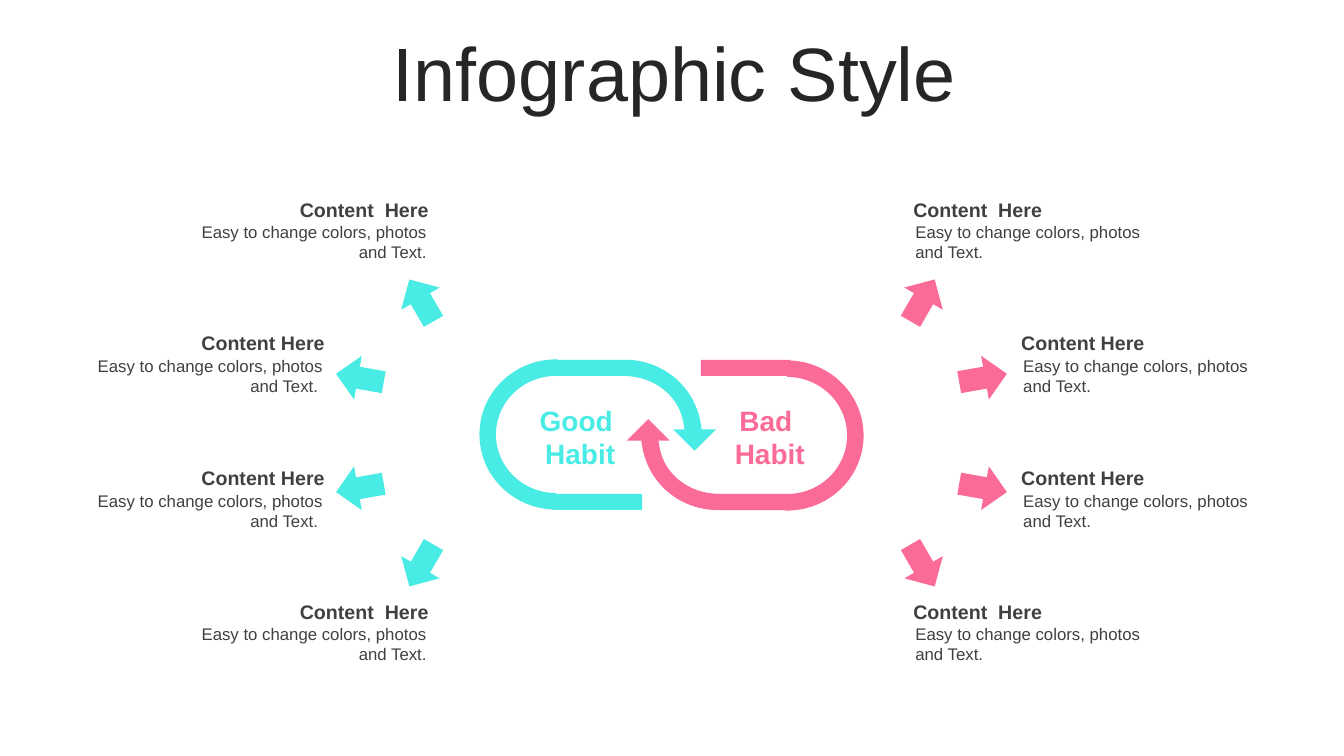
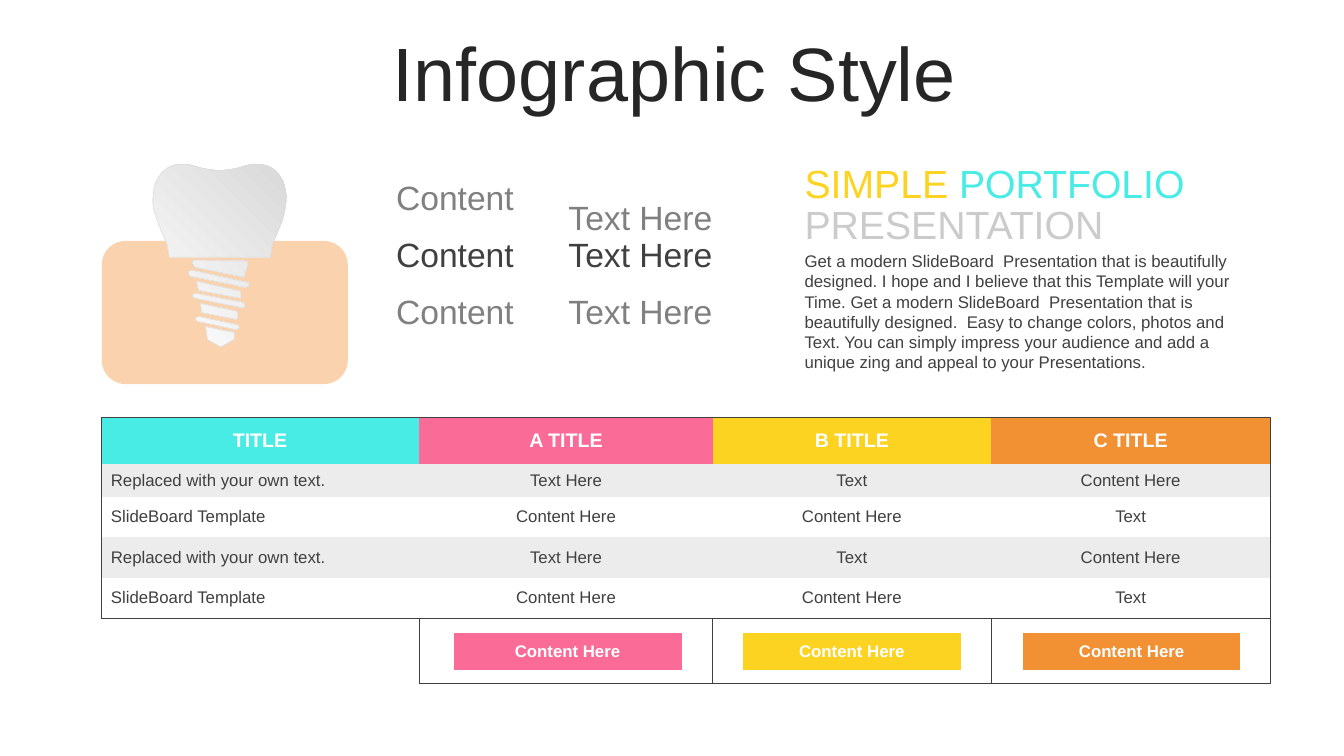
"""Build two infographic slides: a habit loop and an implant comparison table."""
from lxml import etree
from pptx import Presentation
from pptx.dml.color import RGBColor
from pptx.enum import shapes, text
from pptx.oxml import ns
from pptx.util import Inches, Pt

C = {
    "cyan": "49ECE5", "pink": "FB6B97", "yellow": "FDD321", "orange": "F29034",
    "title": "262626", "dark": "404040", "gray": "808080", "silver": "CBCBCB",
    "band": "ECECEC", "edge": "D9D9D9", "gum": "FAD3AE", "white": "FFFFFF",
}
RGB = {name: RGBColor.from_string(value) for name, value in C.items()}
FONT = "Arial"
LEFT, CENTER, RIGHT = text.PP_ALIGN.LEFT, text.PP_ALIGN.CENTER, text.PP_ALIGN.RIGHT
MIDDLE = text.MSO_ANCHOR.MIDDLE
SHAPE = shapes.MSO_SHAPE
MID = {"word_wrap": True, "vertical_anchor": MIDDLE}
TOP = {"word_wrap": True, "vertical_anchor": text.MSO_ANCHOR.TOP}
FLUSH = {"margin_left": 0}


def write(tf, paragraphs, size, align=LEFT, bold=False, frame=None):
    for key, value in (frame or {}).items():
        setattr(tf, key, value)
    for i, runs in enumerate(paragraphs):
        p = tf.add_paragraph() if i else tf.paragraphs[0]
        p.alignment = align
        for words, color in runs:
            r = p.add_run()
            r.text = words
            for key, value in {"name": FONT, "size": Pt(size), "bold": bold}.items():
                setattr(r.font, key, value)
            r.font.color.rgb = RGB[color]


def outline(s, contours, color):
    builder = None
    for contour in contours:
        points = [(Inches(step[i]), Inches(step[i + 1]))
                  for step in contour for i in range(0, len(step), 2)]
        if builder is None:
            builder = s.shapes.build_freeform(*points[0])
        else:
            builder.move_to(*points[0])
        builder.add_line_segments(points[1:], close=True)
    sp = builder.convert_to_shape()
    lines = iter(list(sp._element.iter(ns.qn("a:lnTo"))))
    for step in (step for contour in contours for step in contour[1:]):
        line = next(lines)
        if len(step) == 6:
            curve = etree.Element(ns.qn("a:cubicBezTo"))
            line.addprevious(curve)
            for knot in (line, next(lines), next(lines)):
                curve.append(knot[0])
                knot.getparent().remove(knot)
    sp.shadow.inherit = False
    sp.fill.solid()
    sp.fill.fore_color.rgb = RGB[color]
    sp.line.fill.background()
    return sp


prs = Presentation()
prs.slide_width, prs.slide_height = Inches(13.33), Inches(7.5)
habits, implant = [prs.slides.add_slide(prs.slide_layouts[6]) for _ in range(2)]
for s in (habits, implant):
    tf = s.shapes.add_textbox(*map(Inches, (0.36, 0.37, 12.66, 0.79))).text_frame
    write(tf, [[("Infographic Style", "title")]], 54, CENTER, frame=MID)
    tf.paragraphs[0].line_spacing = 0.9

s = habits
for word, x, color in (("Good ", 5.26, "cyan"), ("Bad ", 7.14, "pink")):
    tf = s.shapes.add_textbox(*map(Inches, (x, 4, 0.95, 0.67))).text_frame
    frame = TOP | {"margin_left": Inches(0.08), "margin_right": Inches(0.04),
                   "margin_top": 0, "margin_bottom": 0}
    write(tf, [[(word, color)], [("Habit", color)]], 20, CENTER, True, frame)

LOOP_X, LOOP_Y = 13.32, 8.63
LINK = [
    (SHAPE.BLOCK_ARC, 4.77, 3.55, 1.49, 1.52, 270),
    (SHAPE.RECTANGLE, 5.49, 3.57, 0.71, 0.16, 0),
    (SHAPE.RECTANGLE, 5.48, 4.9, 0.89, 0.16, 0),
    (SHAPE.RIGHT_TRIANGLE, 6.74, 4.11, 0.3, 0.3, 315),
]
HOOK = [(6.18, 3.57), (6.45, 3.56, 6.71, 3.7, 6.85, 3.93), (6.91, 4.03, 6.95, 4.15, 6.96, 4.27),
        (6.79, 4.27), (6.78, 4.18, 6.76, 4.09, 6.71, 4.01), (6.6, 3.83, 6.4, 3.73, 6.18, 3.73)]
turned_hook = [tuple((LOOP_Y if i % 2 else LOOP_X) - v for i, v in enumerate(step)) for step in HOOK]
parts = [(*part, "cyan") for part in LINK]
parts += [(kind, LOOP_X - x - w, LOOP_Y - y - h, w, h, rot + 180, "pink")
          for kind, x, y, w, h, rot in LINK]
for y, inner, angle in ((2.74, False, 30), (3.51, True, 80), (4.6, True, 100), (5.37, False, 150)):
    parts.append((SHAPE.UP_ARROW, 3.35 if inner else 3.96, y, 0.44, 0.48, 360 - angle, "cyan"))
    parts.append((SHAPE.UP_ARROW, 9.53 if inner else 8.93, y, 0.44, 0.48, angle, "pink"))
for kind, x, y, w, h, rot, color in parts:
    sp = s.shapes.add_shape(kind, *map(Inches, (x, y, w, h)))
    sp.rotation = rot % 360
    sp.shadow.inherit = False
    sp.fill.solid()
    sp.fill.fore_color.rgb = RGB[color]
    sp.line.fill.background()
    if kind == SHAPE.BLOCK_ARC:
        for i, value in enumerate((108, 0.85, 0.11)):
            sp.adjustments[i] = value
outline(s, [HOOK], "cyan")
outline(s, [turned_hook], "pink")

NOTE = "Easy to change colors, photos and Text."
OUTER = ("Content  Here", NOTE, 0.24, ((1.7, 2.65, RIGHT), (8.96, 2.73, LEFT)))
INNER = ("Content Here", NOTE + " ", 0.25, ((0.79, 2.53, RIGHT), (10.03, 2.48, LEFT)))
for y, (heading, note, drop, sides) in ((1.91, OUTER), (3.23, INNER), (4.57, INNER), (5.9, OUTER)):
    for x, w, align in sides:
        tf = s.shapes.add_textbox(*map(Inches, (x + 0.02, y + drop, w - 0.04, 0.5))).text_frame
        write(tf, [[(note if align == RIGHT else NOTE, "dark")]], 12, align, frame=TOP)
        tf = s.shapes.add_textbox(*map(Inches, (x, y, w, 0.34))).text_frame
        write(tf, [[(heading, "dark")]], 14, align, True, TOP)

s = implant
gum = s.shapes.add_shape(SHAPE.ROUNDED_RECTANGLE, *map(Inches, (1.01, 2.39, 2.44, 1.42)))
gum.shadow.inherit = False
gum.fill.solid()
gum.fill.fore_color.rgb = RGB["gum"]
gum.line.fill.background()

TOOTH = [
    [(2.04, 3.24), (2.33, 3.3), (2.32, 3.37), (2.19, 3.44), (2.06, 3.37)],
    [(1.97, 3.14), (2.35, 3.22), (2.37, 3.22, 2.38, 3.24, 2.38, 3.25),
     (2.37, 3.26, 2.35, 3.27, 2.34, 3.27), (1.97, 3.19),
     (1.95, 3.19, 1.94, 3.17, 1.94, 3.16), (1.95, 3.15, 1.96, 3.14, 1.97, 3.14)],
    [(1.99, 3.01), (2.36, 3.09), (2.35, 3.17), (2, 3.1)],
    [(1.94, 2.91), (2.41, 3), (2.42, 3.01, 2.44, 3.02, 2.43, 3.04),
     (2.43, 3.05, 2.41, 3.06, 2.39, 3.05), (1.94, 2.96),
     (1.92, 2.96, 1.91, 2.94, 1.91, 2.93), (1.92, 2.92, 1.93, 2.91, 1.94, 2.91)],
    [(1.95, 2.79), (2.39, 2.89), (2.39, 2.96), (1.97, 2.88)],
    [(1.9, 2.68), (2.45, 2.8), (2.47, 2.8, 2.48, 2.81, 2.47, 2.83),
     (2.47, 2.84, 2.45, 2.85, 2.43, 2.85), (1.89, 2.74),
     (1.87, 2.73, 1.86, 2.72, 1.87, 2.7), (1.87, 2.69, 1.88, 2.69, 1.9, 2.68)],
    [(1.93, 2.58), (2.44, 2.59), (2.47, 2.59, 2.46, 2.63, 2.42, 2.75), (1.93, 2.65),
     (1.92, 2.62, 1.89, 2.59, 1.93, 2.58)],
    [(1.79, 1.63), (1.87, 1.62, 1.94, 1.65, 2.01, 1.67), (2.07, 1.68, 2.12, 1.69, 2.18, 1.69),
     (2.23, 1.69, 2.29, 1.68, 2.35, 1.67), (2.42, 1.65, 2.48, 1.62, 2.56, 1.63),
     (2.65, 1.63, 2.73, 1.67, 2.78, 1.75), (2.82, 1.8, 2.83, 1.87, 2.84, 1.94),
     (2.84, 2.02, 2.83, 2.08, 2.81, 2.15), (2.8, 2.19), (2.77, 2.27, 2.73, 2.35, 2.7, 2.43),
     (2.68, 2.55), (1.68, 2.55), (1.66, 2.43), (1.63, 2.35, 1.59, 2.27, 1.56, 2.19),
     (1.55, 2.15), (1.52, 2.08, 1.51, 2.02, 1.52, 1.94), (1.52, 1.87, 1.54, 1.8, 1.58, 1.75),
     (1.63, 1.67, 1.71, 1.63, 1.79, 1.63)],
]
tooth = outline(s, TOOTH, "white")
tooth.fill.gradient()
tooth.fill.gradient_angle = 45
for stop, color in zip(tooth.fill.gradient_stops, ("white", "edge")):
    stop.color.rgb = RGB[color]
tooth.line.color.rgb = RGB["edge"]
tooth.line.width = Pt(0.32)

for words, x, w, tops in (("Content", 3.83, 1.58, (1.8, 2.37, 2.93)),
                          ("Text Here", 5.54, 1.83, (2, 2.37, 2.93))):
    for y, color in zip(tops, ("gray", "dark", "gray")):
        tf = s.shapes.add_textbox(*map(Inches, (x, y, w, 0.31))).text_frame
        write(tf, [[(words, color)]], 24, frame=MID)

for y, runs in ((1.63, [("SIMPLE ", "yellow"), ("PORTFOLIO", "cyan")]),
                (2.04, [("PRESENTATION", "silver")])):
    tf = s.shapes.add_textbox(*map(Inches, (7.98, y, 4.48, 0.36))).text_frame
    write(tf, [runs], 28, frame=MID | FLUSH)
PITCH = ("Get a modern SlideBoard  Presentation that is beautifully designed. I hope and I believe "
         "that this Template will your Time. Get a modern SlideBoard  Presentation that is "
         "beautifully designed.  Easy to change colors, photos and Text. You can simply impress "
         "your audience and add a unique zing and appeal to your Presentations.")
tf = s.shapes.add_textbox(*map(Inches, (7.98, 2.44, 4.62, 1.32))).text_frame
write(tf, [[(PITCH, "dark")]], 12, frame=TOP | FLUSH)

COLS = [3.16, 0.34, 2.26, 0.31, 0.3, 2.16, 0.3, 0.32, 2.15, 0.3]
ROWS = [0.46, 0.33, 0.4, 0.4, 0.4, 0.15, 0.37, 0.13]
ODD = ["Replaced with your own text.", "Text Here", "Text", "Content Here"]
EVEN = ["SlideBoard Template", "Content Here", "Content Here", "Text"]
DATA = [["TITLE", "A TITLE", "B TITLE", "C TITLE"], ODD, EVEN, ODD, EVEN]
HUES = ["cyan", "pink", "yellow", "orange"]
STARTS = [0, 1, 4, 7]
BODY = len(DATA)
LAST_ROW, LAST_COL = len(ROWS) - 1, len(COLS) - 1
tbl = s.shapes.add_table(len(ROWS), len(COLS), *map(Inches, (1, 4.14, sum(COLS), sum(ROWS)))).table
tbl.first_row = tbl.horz_banding = False
tbl._tbl.tblPr.find(ns.qn("a:tableStyleId")).text = "{2D5ABB26-0587-4C30-8999-92F81FD0307C}"
for col, w in zip(tbl.columns, COLS):
    col.width = Inches(w)
for row, h in zip(tbl.rows, ROWS):
    row.height = Inches(h)
for i in range(BODY):
    for j in STARTS[1:]:
        tbl.cell(i, j).merge(tbl.cell(i, j + 2))
tbl.cell(BODY, 0).merge(tbl.cell(LAST_ROW, 0))

for i in range(len(ROWS)):
    for j in range(len(COLS)):
        cell = tbl.cell(i, j)
        group = (j + 2) // 3
        if i < BODY:
            sides = {"L": j == 0, "R": j in (STARTS[-1], LAST_COL), "T": i == 0, "B": i == BODY - 1}
            fill = HUES[group] if i == 0 else "band" if i % 2 else None
            words = DATA[i][group] if j in STARTS else ""
        else:
            sides = {"L": j in STARTS[1:], "R": j % 3 == 0, "T": i == BODY,
                     "B": i == LAST_ROW and j > 0}
            button = i == BODY + 1 and j % 3 == 2
            fill = HUES[group] if button else "white" if j else None
            words = "Content Here" if button else ""
        tcPr = cell._tc.get_or_add_tcPr()
        for side, drawn in sides.items():
            ln = etree.SubElement(tcPr, ns.qn("a:ln" + side), w=str(Pt(0.5)))
            paint = etree.SubElement(ln, ns.qn("a:solidFill" if drawn else "a:noFill"))
            if drawn:
                etree.SubElement(paint, ns.qn("a:srgbClr"), val=C["dark"])
        if fill:
            cell.fill.solid()
            cell.fill.fore_color.rgb = RGB[fill]
        else:
            cell.fill.background()
        cell.vertical_anchor = MIDDLE
        if words:
            strong = i == 0 or i >= BODY
            write(cell.text_frame, [[(words, "white" if strong else "dark")]], 14 if i == 0 else 12,
                  LEFT if j == 0 and i else CENTER, strong)
        else:
            for side in ("left", "right", "top", "bottom"):
                setattr(cell, "margin_" + side, 0)
            p = cell.text_frame.paragraphs[0]
            etree.SubElement(p._p, ns.qn("a:endParaRPr"), sz="400")

prs.save("out.pptx")
